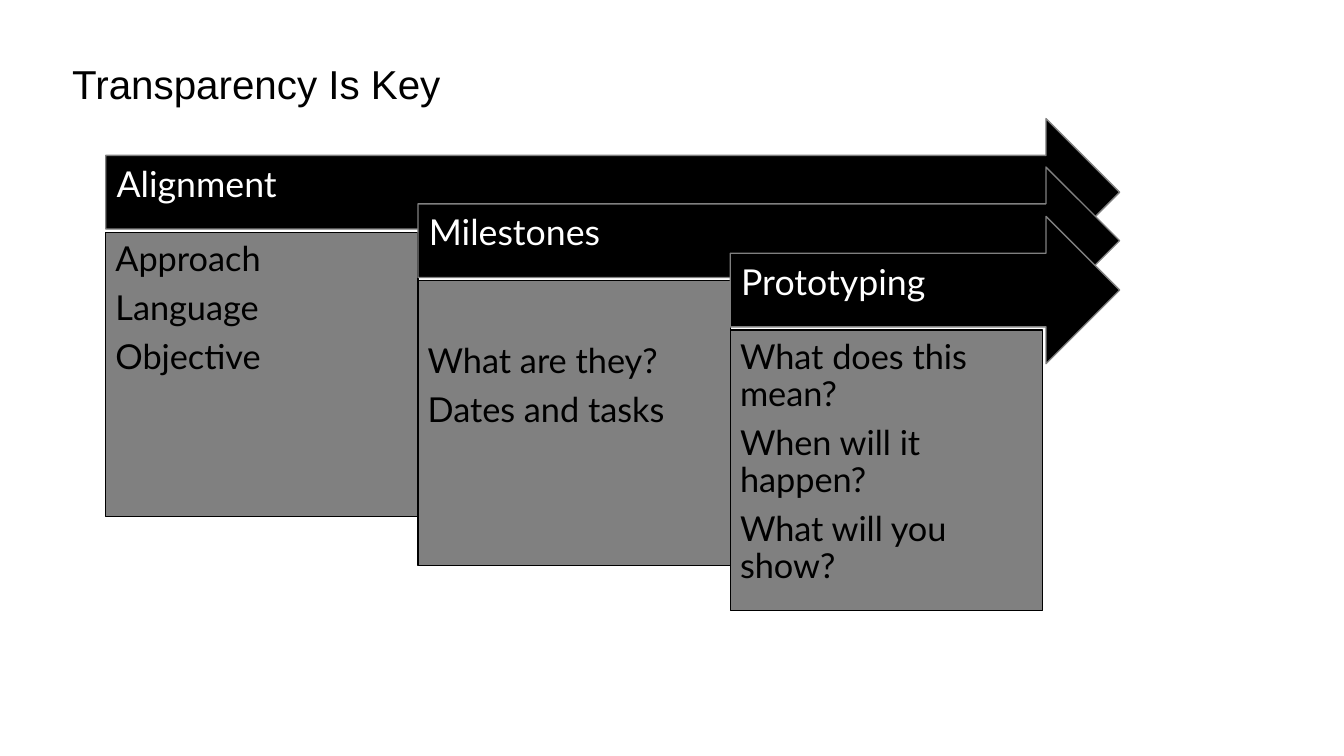
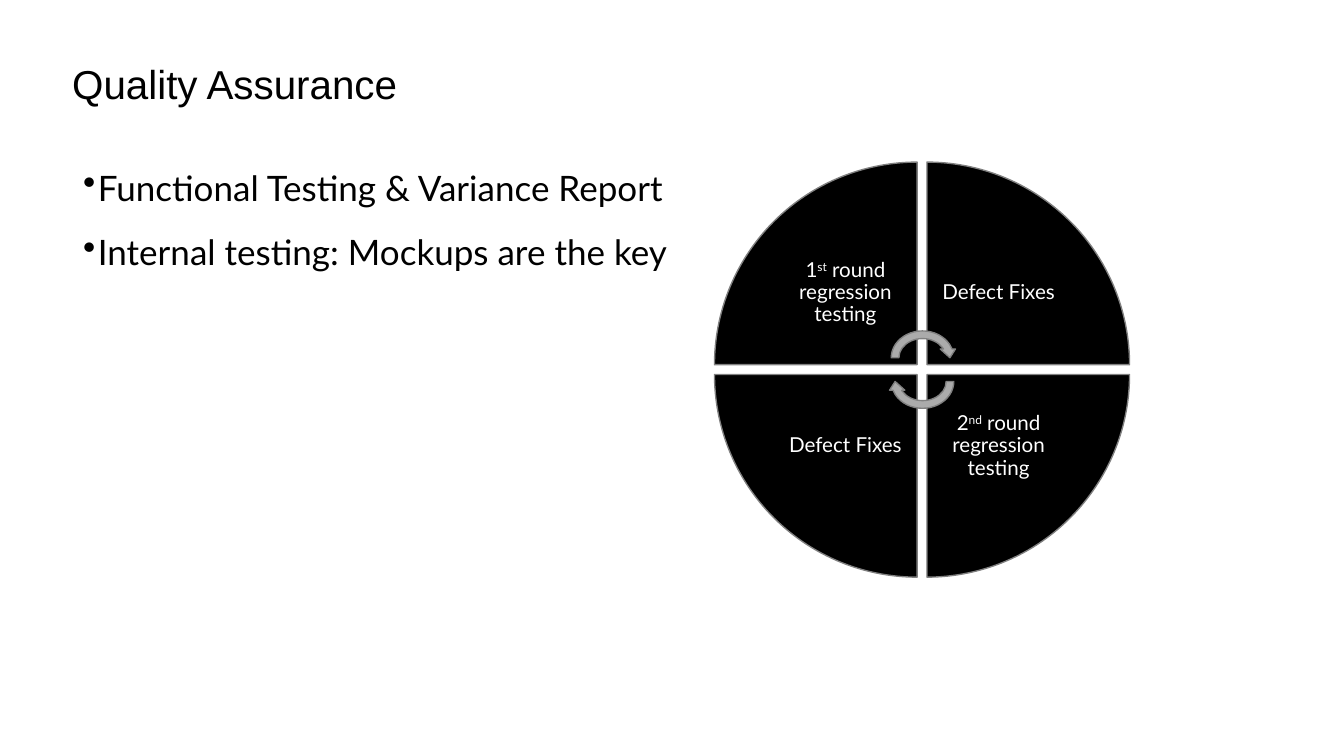
from dataclasses import dataclass

from lxml import etree
from pptx import Presentation
from pptx.dml.color import RGBColor
from pptx.enum.shapes import MSO_SHAPE
from pptx.enum.text import MSO_ANCHOR, PP_ALIGN
from pptx.oxml.ns import qn
from pptx.shapes.autoshape import Shape
from pptx.slide import Slide
from pptx.util import Emu, Pt

EMU_PER_PX = 9144

BLACK = RGBColor(0x00, 0x00, 0x00)
WHITE = RGBColor(0xFF, 0xFF, 0xFF)
GRAY = RGBColor(0x80, 0x80, 0x80)
LIGHT_GRAY = RGBColor(0xAB, 0xAB, 0xAB)

ARROW, CARD = MSO_SHAPE.RIGHT_ARROW, MSO_SHAPE.RECTANGLE
WEDGE, CYCLE_ARROW = MSO_SHAPE.PIE_WEDGE, MSO_SHAPE.CIRCULAR_ARROW
TOP, MIDDLE = MSO_ANCHOR.TOP, MSO_ANCHOR.MIDDLE
LEFT, CENTER = PP_ALIGN.LEFT, PP_ALIGN.CENTER


def px(length: int) -> Emu:
    return Emu(length * EMU_PER_PX)


@dataclass(frozen=True)
class Box:
    left: int
    top: int
    width: int
    height: int

    def emu(self) -> tuple[Emu, ...]:
        return tuple(px(n) for n in (self.left, self.top, self.width, self.height))


@dataclass(frozen=True)
class TextStyle:
    size: float
    color: RGBColor = BLACK
    font: str = "Lato"
    align: PP_ALIGN = LEFT
    anchor: MSO_ANCHOR = TOP
    insets: tuple[int, int, int, int] = (4, 4, 4, 4)  # left, top, right, bottom
    line_spacing: float = 1.0
    space_before: float = 0
    space_after: float = 0
    bullet: str = ""


@dataclass(frozen=True)
class Stage:
    name: str
    points: tuple[str, ...]
    card_height: int = 288
    text_top: int = 10


@dataclass(frozen=True)
class Quarter:
    row: int
    column: int
    label: str
    ordinal: str = ""
    suffix: str = ""


TITLE = TextStyle(29.4, font="Arial", insets=(4, 7, 4, 4))
BODY = TextStyle(25.5, space_before=16.6, bullet="•")
STAGE_NAME = TextStyle(26, WHITE, anchor=MIDDLE, insets=(11, 11, 28, 24),
                       line_spacing=0.9, space_after=9.1)
QUARTER_LABEL = TextStyle(15, WHITE, align=CENTER, anchor=MIDDLE,
                          insets=(12, 12, 12, 12), line_spacing=0.9,
                          space_after=5.25)

TITLE_BOX = Box(69, 53, 1222, 71)
BODY_BOX = Box(69, 164, 1222, 327)
BULLET_MARGIN, BULLET_HANG, BULLET_PERCENT = 26, 15, 104

STAGES = (
    Stage("Alignment", ("Approach", "Language", "Objective")),
    Stage("Milestones", ("What are they?", "Dates and tasks"), text_top=64),
    Stage("Prototyping", ("What does this mean?", "When will it happen?",
                          "What will you show?"), card_height=284),
)
STAGE_LEFT, STAGE_TOP, STAGE_RIGHT = 107, 120, 1133
STAGE_DROP_PER_TWO = 99
ARROW_HEIGHT, CARD_WIDTH, CARD_OFFSET = 149, 316, 115

# Clockwise from the top left, so each wedge turns 90 degrees further.
QUARTERS = (
    Quarter(0, 0, " round regression testing", "1", "st"),
    Quarter(0, 1, "Defect Fixes"),
    Quarter(1, 1, " round regression testing", "2", "nd"),
    Quarter(1, 0, "Defect Fixes"),
)
WHEEL_LEFT, WHEEL_TOP = 723, 164
WEDGE_SIZE, WEDGE_STEP, LABEL_MARGIN = 205, 215, 60
CYCLE_ARROWS = ((Box(898, 331, 71, 62), 0), (Box(898, 355, 71, 62), 180))


def set_all(target: object, values: dict[str, object]) -> None:
    for name, value in values.items():
        setattr(target, name, value)


def add_bullet(paragraph, bullet: str) -> None:
    properties = paragraph._p.get_or_add_pPr()
    properties.set("marL", str(px(BULLET_MARGIN)))
    properties.set("indent", str(-px(BULLET_HANG)))
    size = etree.SubElement(properties, qn("a:buSzPct"))
    size.set("val", str(BULLET_PERCENT * 1000))
    etree.SubElement(properties, qn("a:buChar")).set("char", bullet)


def add_run(paragraph, text: str, style: TextStyle, raised: bool = False) -> None:
    run = paragraph.add_run()
    run.text = text
    set_all(run.font, {"name": style.font, "size": Pt(style.size)})
    run.font.color.rgb = style.color
    if raised:
        run._r.get_or_add_rPr().set("baseline", "30000")


def write_paragraphs(shape: Shape, style: TextStyle, count: int) -> list:
    """Format the text frame and return its empty, styled paragraphs."""
    frame = shape.text_frame
    left, top, right, bottom = (px(n) for n in style.insets)
    set_all(frame, {"word_wrap": True, "vertical_anchor": style.anchor,
                    "margin_left": left, "margin_top": top,
                    "margin_right": right, "margin_bottom": bottom})
    for _ in range(count - 1):
        frame.add_paragraph()
    for index, paragraph in enumerate(frame.paragraphs):
        if style.bullet:
            add_bullet(paragraph, style.bullet)
        set_all(paragraph, {
            "alignment": style.align,
            "line_spacing": style.line_spacing,
            "space_before": Pt(style.space_before if index else 0),
            "space_after": Pt(style.space_after),
        })
    return list(frame.paragraphs)


def write_lines(shape: Shape, lines: tuple[str, ...], style: TextStyle) -> None:
    for paragraph, line in zip(write_paragraphs(shape, style, len(lines)), lines):
        add_run(paragraph, line, style)


def add_filled(slide: Slide, kind: MSO_SHAPE, box: Box, fill: RGBColor,
               line: RGBColor, rotation: int = 0) -> Shape:
    shape = slide.shapes.add_shape(kind, *box.emu())
    shape.shadow.inherit = False
    shape.rotation = rotation
    shape.fill.solid()
    shape.fill.fore_color.rgb = fill
    shape.line.color.rgb = line
    shape.line.width = Pt(1)
    return shape


def add_titled_slide(deck, title: str) -> Slide:
    slide = deck.slides.add_slide(deck.slide_layouts[6])
    write_lines(slide.shapes.add_textbox(*TITLE_BOX.emu()), (title,), TITLE)
    return slide


def draw_stage(slide: Slide, index: int, stage: Stage) -> None:
    left = STAGE_LEFT + index * CARD_WIDTH
    top = STAGE_TOP + index * STAGE_DROP_PER_TWO // 2
    arrow_box = Box(left, top, STAGE_RIGHT - left, ARROW_HEIGHT)
    arrow = add_filled(slide, ARROW, arrow_box, BLACK, GRAY)
    write_lines(arrow, (stage.name,), STAGE_NAME)

    card_box = Box(left, top + CARD_OFFSET, CARD_WIDTH, stage.card_height)
    card = add_filled(slide, CARD, card_box, GRAY, BLACK)
    style = TextStyle(25, insets=(10, stage.text_top, 10, 10),
                      line_spacing=0.9, space_after=8.75)
    write_lines(card, stage.points, style)


def draw_quarter(slide: Slide, index: int, quarter: Quarter) -> None:
    left = WHEEL_LEFT + quarter.column * WEDGE_STEP
    top = WHEEL_TOP + quarter.row * WEDGE_STEP
    wedge_box = Box(left, top, WEDGE_SIZE, WEDGE_SIZE)
    add_filled(slide, WEDGE, wedge_box, BLACK, GRAY, rotation=90 * index)

    label_size = WEDGE_SIZE - LABEL_MARGIN
    label_box = Box(left + LABEL_MARGIN * (1 - quarter.column),
                    top + LABEL_MARGIN * (1 - quarter.row),
                    label_size, label_size)
    label = slide.shapes.add_textbox(*label_box.emu())
    paragraph = write_paragraphs(label, QUARTER_LABEL, 1)[0]
    if quarter.ordinal:
        add_run(paragraph, quarter.ordinal, QUARTER_LABEL)
        add_run(paragraph, quarter.suffix, QUARTER_LABEL, raised=True)
    add_run(paragraph, quarter.label, QUARTER_LABEL)


def build_transparency(deck) -> None:
    slide = add_titled_slide(deck, "Transparency Is Key")
    for index, stage in enumerate(STAGES):
        draw_stage(slide, index, stage)


def build_quality(deck) -> None:
    slide = add_titled_slide(deck, "Quality Assurance")
    body = slide.shapes.add_textbox(*BODY_BOX.emu())
    write_lines(body, ("Functional Testing & Variance Report",
                       "Internal testing: Mockups are the key"), BODY)
    for index, quarter in enumerate(QUARTERS):
        draw_quarter(slide, index, quarter)
    for box, rotation in CYCLE_ARROWS:
        add_filled(slide, CYCLE_ARROW, box, LIGHT_GRAY, GRAY, rotation)


def main() -> None:
    deck = Presentation()
    set_all(deck, {"slide_width": px(1360), "slide_height": px(765)})
    build_transparency(deck)
    build_quality(deck)
    deck.save("out.pptx")


if __name__ == "__main__":
    main()
